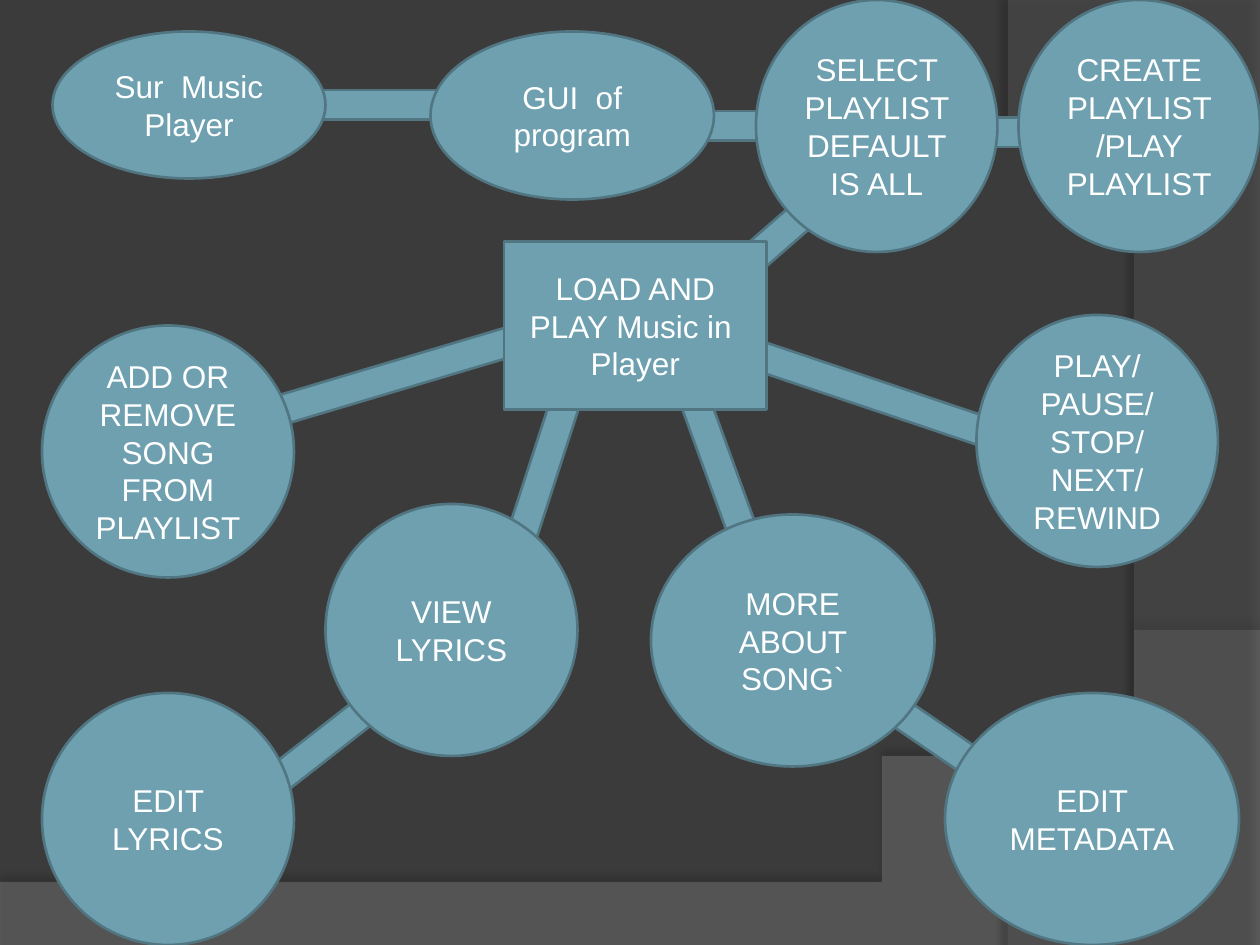
from lxml import etree
from pptx import Presentation
from pptx.dml.color import RGBColor
from pptx.enum.shapes import MSO_SHAPE
from pptx.enum.text import MSO_ANCHOR, PP_ALIGN
from pptx.oxml.ns import qn
from pptx.util import Inches, Pt

OVAL, RECT, BAR = MSO_SHAPE.OVAL, MSO_SHAPE.RECTANGLE, MSO_SHAPE.MATH_MINUS
CENTER, MIDDLE = PP_ALIGN.CENTER, MSO_ANCHOR.MIDDLE
COLORS = {"page": "3B3B3B", "floor": "7F7F7F", "side": "5E5E5E", "node": "6EA0B0",
          "edge": "517682", "text": "FFFFFF", "shadow": "000000"}
FONT, TEXT_SIZE, LINE_WIDTH = "Arial", 18, 1.5
WIDTH, HEIGHT = Inches(10), Inches(7.5)
COLUMNS, ROWS = 120, 90
BAR_ROWS = 12
CURVE_STEPS = 40

# Links: centre column, centre row, length in columns, rotation in degrees
LINKS = [
    (37.3, 10, 24.6, 0), (70.3, 12, 24.6, 0), (83.6, 37.7, 37.4, 18.6),
    (51.1, 46.7, 24.7, 108), (37.3, 35.9, 43, 163.4), (68.6, 44.8, 22.8, 70),
    (31.6, 70.2, 19, 142), (89.2, 70.3, 19, 34.3), (74.6, 22.1, 17.9, 318.9),
    (97.4, 12.6, 17.9, 0),
]
# Nodes: shape, (column, row, columns wide, rows high), paragraphs
NODES = [
    (OVAL, (5, 3, 26, 14), ["Sur  Music Player"]),
    (OVAL, (93, 30, 23, 24), ["PLAY/\nPAUSE/\nSTOP/", "NEXT/", "REWIND"]),
    (OVAL, (4, 31, 24, 24), ["ADD OR REMOVE", "SONG FROM PLAYLIST"]),
    (OVAL, (31, 48, 24, 24), ["VIEW LYRICS"]),
    (OVAL, (4, 66, 24, 24), ["EDIT LYRICS"]),
    (OVAL, (90, 66, 28, 24), ["EDIT METADATA"]),
    (OVAL, (62, 49, 27, 24), ["MORE ABOUT SONG`"]),
    (OVAL, (41, 3, 27, 16), ["GUI  of program"]),
    (RECT, (48, 23, 25, 16), ["LOAD AND PLAY Music in ", "Player"]),
    (OVAL, (72, 0, 23, 24), ["SELECT PLAYLIST ", "DEFAULT IS ALL"]),
    (OVAL, (97, 0, 23, 24), ["CREATE PLAYLIST /PLAY PLAYLIST"]),
]


def rgb(name):
    """Return a named colour."""
    return RGBColor.from_string(COLORS[name])


def grid_box(column, row, wide, high):
    """Turn grid cells into left, top, width and height."""
    across, down = WIDTH / COLUMNS, HEIGHT / ROWS
    return [round(v) for v in (column * across, row * down, wide * across, high * down)]


def curve(start, first, second, end):
    """Return points along a cubic curve, without its start."""
    points = []
    for step in range(1, CURVE_STEPS + 1):
        t = step / CURVE_STEPS
        weights = ((1 - t) ** 3, 3 * t * (1 - t) ** 2, 3 * t * t * (1 - t), t ** 3)
        corners = (start, first, second, end)
        points.append(tuple(sum(w * c[axis] for w, c in zip(weights, corners))
                            for axis in (0, 1)))
    return points


def add_alpha(color_element, percent):
    """Make a colour element partly transparent."""
    etree.SubElement(color_element, qn("a:alpha"), val=str(percent * 1000))


def add_backdrop(page, points, color, opacity, shadow):
    """Draw a see-through band with a soft shadow; points are in inches."""
    builder = page.shapes.build_freeform(*points[0], scale=Inches(1))
    builder.add_line_segments(points[1:], close=True)
    band = builder.convert_to_shape()
    band.fill.solid()
    band.fill.fore_color.rgb = rgb(color)
    band.line.fill.background()
    properties = band._element.spPr
    add_alpha(properties.find(".//" + qn("a:srgbClr")), opacity)
    shade, blur, distance, angle = shadow
    effects = etree.SubElement(properties, qn("a:effectLst"))
    outer = etree.SubElement(effects, qn("a:outerShdw"), blurRad=str(Pt(blur)),
                             dist=str(Pt(distance)), dir=str(angle * 60000),
                             rotWithShape="0")
    add_alpha(etree.SubElement(outer, qn("a:srgbClr"), val=COLORS["shadow"]), shade)


def add_backdrops(page):
    """Draw the curved bands along the bottom and the right side."""
    floor = [(0, 7.05), (0, 7.5), (10, 7.5), (10, 5.2)]
    floor += curve((10, 5.2), (5.59, 7.29), (3.91, 7.19), (0, 7.05))
    add_backdrop(page, floor, "floor", 45, (35, 4, 3.5, 270))
    side = [(10, 0.02), (10, 7.5), (8.21, 7.5)]
    side += curve((8.21, 7.5), (9.35, 6.19), (10.18, 3), (8, 0))
    add_backdrop(page, side, "side", 40, (45, 4, 4, 180))


def add_part(page, kind, box):
    """Add a shape in the diagram's colours."""
    part = page.shapes.add_shape(kind, *box)
    part.shadow.inherit = False
    part.fill.solid()
    part.fill.fore_color.rgb = rgb("node")
    part.line.color.rgb = rgb("edge")
    part.line.width = Pt(LINE_WIDTH)
    return part


def add_link(page, column, row, length, angle):
    """Add a bar around its centre."""
    box = grid_box(column - length / 2, row - BAR_ROWS / 2, length, BAR_ROWS)
    add_part(page, BAR, box).rotation = angle


def add_node(page, kind, box, paragraphs):
    """Add a labelled node."""
    frame = add_part(page, kind, box).text_frame
    frame.word_wrap = True
    frame.vertical_anchor = MIDDLE
    for index, text in enumerate(paragraphs):
        para = frame.add_paragraph() if index else frame.paragraphs[0]
        para.alignment = CENTER
        for number, line in enumerate(text.split("\n")):
            if number:
                para.add_line_break()
            span = para.add_run()
            span.text = line
            span.font.name = FONT
            span.font.size = Pt(TEXT_SIZE)
            span.font.color.rgb = rgb("text")


def add_diagram(page):
    """Place the links, then the nodes over their ends."""
    for link in LINKS:
        add_link(page, *link)
    for kind, cells, paragraphs in NODES:
        add_node(page, kind, grid_box(*cells), paragraphs)


def main():
    """Build the deck."""
    deck = Presentation()
    deck.slide_width, deck.slide_height = WIDTH, HEIGHT
    page = deck.slides.add_slide(deck.slide_layouts[6])
    page.background.fill.solid()
    page.background.fill.fore_color.rgb = rgb("page")
    add_backdrops(page)
    add_diagram(page)
    deck.save("out.pptx")


main()
